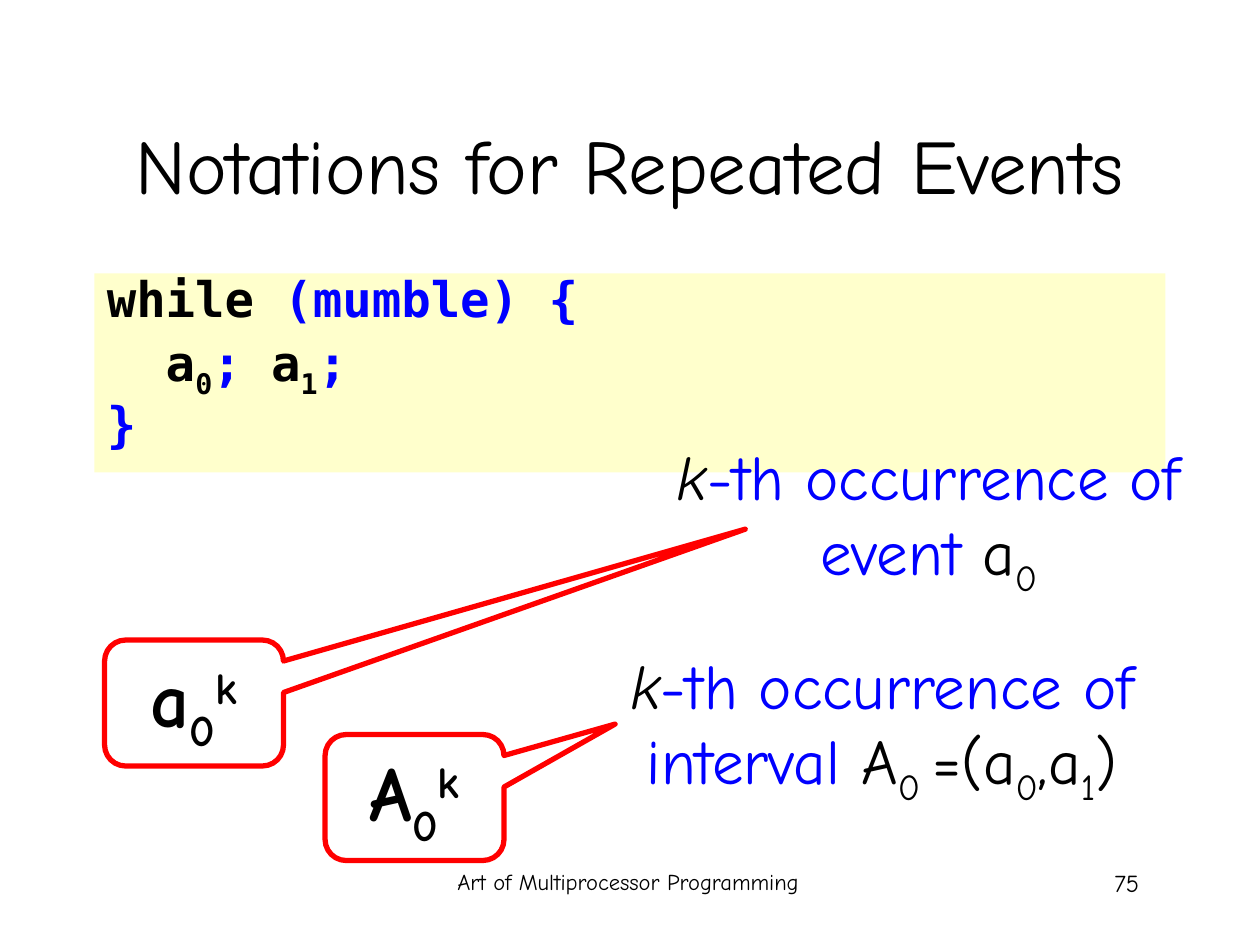
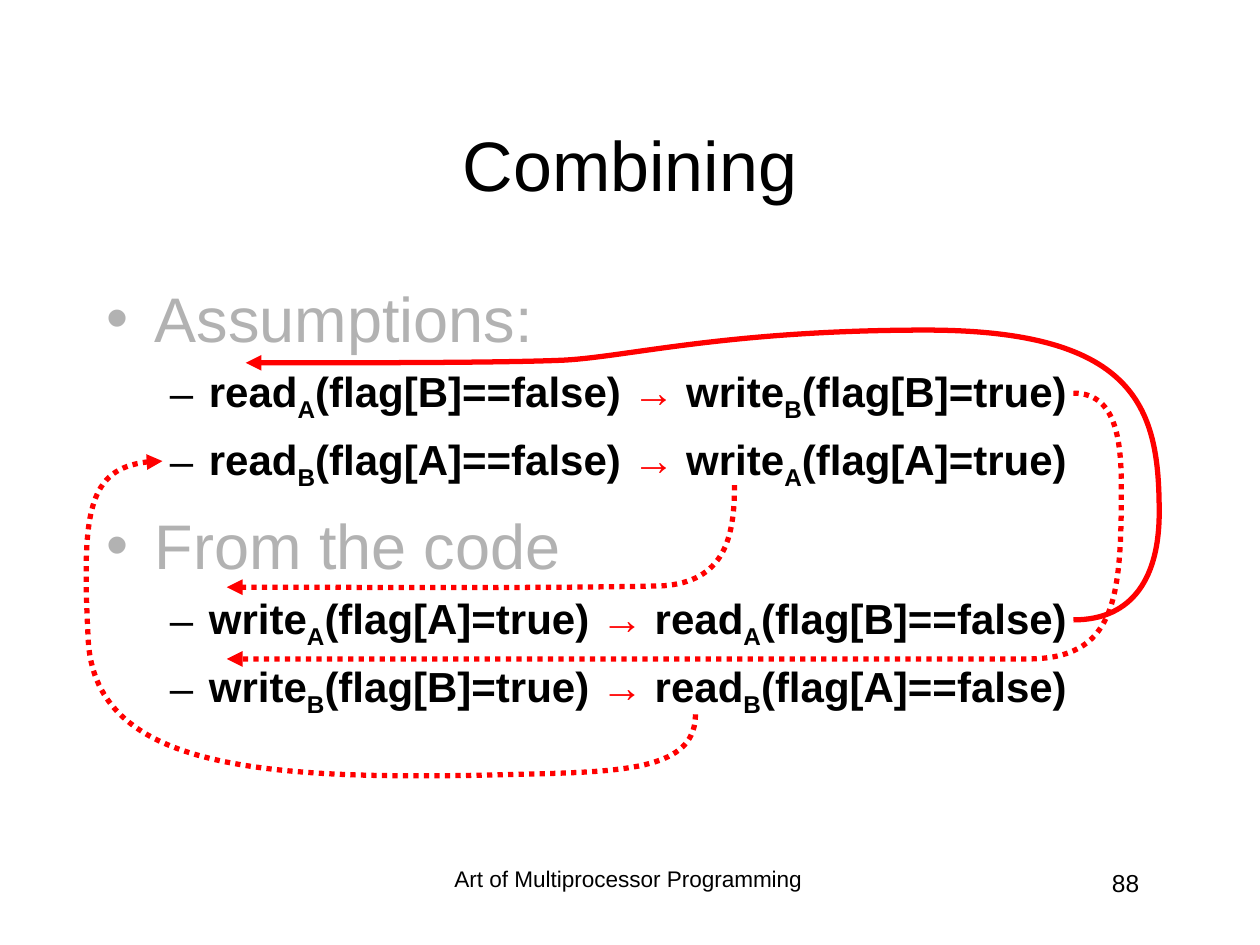
from dataclasses import dataclass
from itertools import pairwise
from lxml.etree import SubElement
from pptx import Presentation
from pptx.dml.color import RGBColor
from pptx.enum.dml import MSO_LINE
from pptx.enum.shapes import MSO_SHAPE
from pptx.enum.text import MSO_ANCHOR, PP_ALIGN
from pptx.oxml.ns import qn
from pptx.util import Inches, Pt


@dataclass(frozen=True)
class Theme:
    black: str = "000000"
    blue: str = "0000FF"
    red: str = "FF0000"
    grey: str = "B2B2B2"
    cream: str = "FFFFCC"
    hand: str = "Comic Neue"
    sans: str = "Arial"
    mono: str = "DejaVu Sans Mono"
    title: float = 44
    plain: float = 40
    large: float = 36
    code: float = 28
    small: float = 24
    page: float = 14
    foot: float = 12.9
    line: float = 3


T = Theme()
TINT = {"b": T.blue, "r": T.red, "g": T.grey}
SHIFT = {"s": "-25000", "p": "30000"}
COURSE = "Art of Multiprocessor Programming"


def put(item, values):
    for name, value in values.items():
        setattr(item, name, value)


def write(para, runs, face, size, bold=False, **form):
    put(para, form)
    for text, marks in runs:
        run = para.add_run()
        run.text = text
        put(run.font, {"name": face, "size": Pt(size), "bold": bold, "italic": "i" in marks})
        tint = next((TINT[m] for m in marks if m in TINT), T.black)
        run.font.color.rgb = RGBColor.from_string(tint)
        for mark in marks:
            if mark in SHIFT:
                run._r.get_or_add_rPr().set("baseline", SHIFT[mark])


def text(slide, box, runs, face, size, align=PP_ALIGN.CENTER, anchor=MSO_ANCHOR.TOP, **form):
    frame = slide.shapes.add_textbox(*map(Inches, box)).text_frame
    put(frame, {"word_wrap": True, "vertical_anchor": anchor})
    write(frame.paragraphs[0], runs, face, size, alignment=align, **form)


def base(deck, title, page, face, size, box, **form):
    slide = deck.slides.add_slide(deck.slide_layouts[6])
    text(slide, box, [(title, "")], face, size, anchor=MSO_ANCHOR.MIDDLE)
    text(slide, (3.4, 6.84, 3.17, 0.5), [(COURSE, "")], face, T.foot, **form)
    text(slide, (7.06, 6.84, 2.08, 0.5), [(page, "")], face, T.page, PP_ALIGN.RIGHT)
    return slide


def lines(frame):
    yield frame.paragraphs[0]
    while True:
        yield frame.add_paragraph()


def indent(para, left, hang):
    props = para._p.get_or_add_pPr()
    props.set("marL", str(Inches(left)))
    props.set("indent", str(-Inches(hang)))
    return props


def code(slide, box, rows):
    shape = slide.shapes.add_shape(MSO_SHAPE.RECTANGLE, *map(Inches, box))
    shape.shadow.inherit = False
    shape.fill.solid()
    shape.fill.fore_color.rgb = RGBColor.from_string(T.cream)
    shape.line.fill.background()
    frame = shape.text_frame
    put(frame, {"word_wrap": True, "vertical_anchor": MSO_ANCHOR.TOP})
    for num, (row, para) in enumerate(zip(rows, lines(frame))):
        indent(para, 0.25, 0.25)
        write(para, row, T.mono, T.code, True, alignment=PP_ALIGN.LEFT,
              line_spacing=0.8, space_before=Pt(7 if num else 0))


def stroke(shape):
    shape.shadow.inherit = False
    shape.fill.background()
    shape.line.color.rgb = RGBColor.from_string(T.red)
    shape.line.width = Pt(T.line)


def callout(slide, box, name, tip):
    shape = slide.shapes.add_shape(MSO_SHAPE.ROUNDED_RECTANGULAR_CALLOUT, *map(Inches, box))
    stroke(shape)
    for num, value in enumerate((*tip, 0.167)):
        shape.adjustments[num] = value
    frame = shape.text_frame
    put(frame, {"word_wrap": True, "vertical_anchor": MSO_ANCHOR.MIDDLE})
    write(frame.paragraphs[0], [(name, ""), ("0", "s"), ("k", "p")],
          T.hand, T.title, True, alignment=PP_ALIGN.CENTER)


def order(first, last):
    runs = []
    for (verb, who, test), tail in ((first, " "), (last, "")):
        if runs:
            runs += [("→", "r"), (" ", "")]
        runs += [(verb, ""), (who, "s"), (f"({test}){tail}", "")]
    return runs


def read(who, flag):
    return "read", who, f"flag[{flag}]==false"


def store(who):
    return "write", who, f"flag[{who}]=true"


def outline(slide, box, groups):
    frame = slide.shapes.add_textbox(*map(Inches, box)).text_frame
    frame.word_wrap = True
    paras = lines(frame)
    for num, (head, rows) in enumerate(groups):
        items = [([(head, "g")], "•", 0.38, 0.38, T.large, 9 if num else 0)]
        items += [(order(*row), "–", 0.81, 0.31, T.small, 6) for row in rows]
        for runs, mark, left, hang, size, gap in items:
            para = next(paras)
            props = indent(para, left, hang)
            SubElement(props, qn("a:buFont"), typeface=T.sans)
            SubElement(props, qn("a:buChar"), char=mark)
            write(para, runs, T.sans, size, size == T.small, space_before=Pt(gap))


def curve(slide, box, points, dotted):
    spots = [(Inches(box[0] + x), Inches(box[1] + y)) for x, y in points]
    pen = slide.shapes.build_freeform(*spots[0], scale=1.0)
    pen.add_line_segments(spots[1:], close=False)
    shape = pen.convert_to_shape()
    stroke(shape)
    if dotted:
        shape.line.dash_style = MSO_LINE.ROUND_DOT
    SubElement(shape.line._get_or_add_ln(), qn("a:tailEnd"), type="triangle")
    steps = shape._element.xpath(".//a:lnTo")
    for start, stop in pairwise(range(0, len(steps) + 1, 3)):
        bend = SubElement(steps[0].getparent(), qn("a:cubicBezTo"))
        for step in steps[start:stop]:
            bend.append(step[0])
    for step in steps:
        step.getparent().remove(step)


def events(deck):
    slide = base(deck, "Notations for Repeated Events", "75", T.hand, T.title,
                 (0.44, 0.67, 9.12, 1.25))
    code(slide, (0.75, 2.17, 8.5, 1.58), [
        [("while", ""), (" (mumble) {", "b")],
        [("  a", ""), ("0", "s"), ("; ", "b"), ("a", ""), ("1", "s"), (";", "b")],
        [("}", "b")],
    ])
    notes = [
        ("a", (0.83, 5.08, 1.42, 1), (3.081, -1.38), "event", (5.08, 3.42, 4.58, 1.39),
         [("a", ""), ("0", "s")]),
        ("A", (2.58, 5.83, 1.42, 1), (1.121, -0.583), "interval", (4.5, 5.08, 5, 1.39),
         [("A", ""), ("0 ", "s"), ("=(a", ""), ("0", "s"), (",a", ""), ("1", "s"), (")", "")]),
    ]
    for name, box, tip, kind, area, tail in notes:
        callout(slide, box, name, tip)
        text(slide, area, [("k", "i"), (f"-th occurrence of {kind} ", "b"), *tail],
             T.hand, T.large)


def combine(deck):
    slide = base(deck, "Combining", "88", T.sans, T.plain, (0.75, 0.67, 8.5, 1.25),
                 line_spacing=0.9)
    body = (0.75, 2.17, 8.5, 4.5)
    curves = [
        ([(4.77, 3.5), (4.77, 3.9), (4.3, 3.95), (3.6, 3.97), (1.5, 4.03),
          (0, 4), (-0.05, 2.9), (-0.1, 1.9), (-0.05, 1.49), (0.54, 1.49)], True),
        ([(7.77, 0.95), (8.1, 0.95), (8.15, 1.3), (8.15, 1.7), (8.15, 2.6),
          (8.1, 3.06), (7.4, 3.06), (6, 3.06), (3, 3.06), (1.05, 3.06)], True),
        ([(5.08, 1.68), (5.08, 2.1), (5, 2.45), (4.5, 2.48), (3.6, 2.5),
          (2, 2.49), (1.05, 2.49)], True),
        ([(7.77, 2.75), (8.25, 2.75), (8.45, 2.4), (8.45, 1.9), (8.45, 1.1),
          (8.3, 0.45), (6.6, 0.45), (5, 0.45), (4.2, 0.67), (3.7, 0.69),
          (3.2, 0.71), (2, 0.71), (1.2, 0.71)], False),
    ]
    for points, dotted in curves:
        curve(slide, body, points, dotted)
    outline(slide, body, [
        ("Assumptions:", [(read("A", "B"), store("B")), (read("B", "A"), store("A"))]),
        ("From the code", [(store("A"), read("A", "B")), (store("B"), read("B", "A"))]),
    ])


def main():
    deck = Presentation()
    put(deck, {"slide_width": Inches(10), "slide_height": Inches(7.5)})
    events(deck)
    combine(deck)
    deck.save("out.pptx")


if __name__ == "__main__":
    main()
